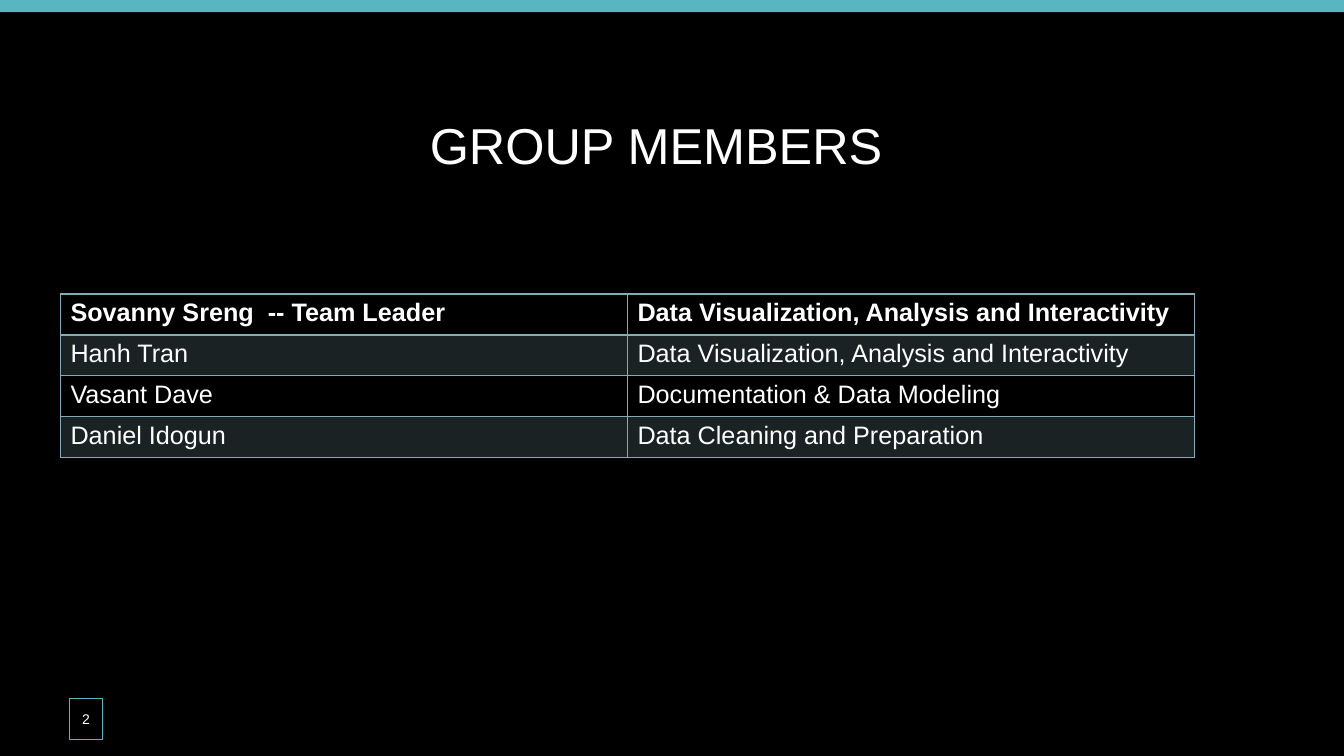
"""Build the group members slide."""
from lxml.etree import SubElement
from pptx import Presentation
from pptx.dml.color import RGBColor
from pptx.enum.shapes import MSO_SHAPE
from pptx.enum.text import MSO_ANCHOR, PP_ALIGN
from pptx.oxml.ns import qn
from pptx.util import Pt

TITLE = "GROUP MEMBERS"
MEMBERS = [
    ("Sovanny Sreng  -- Team Leader", "Data Visualization, Analysis and Interactivity"),
    ("Hanh Tran", "Data Visualization, Analysis and Interactivity"),
    ("Vasant Dave", "Documentation & Data Modeling"),
    ("Daniel Idogun", "Data Cleaning and Preparation"),
]
PAGE_NUMBER = "2"

THEME = {
    "font": "Arial",
    "background": "000000",
    "text": "FFFFFF",
    "accent": "58B6C0",
    "border": "84ACB6",
    "band": "1A2224",
    "title_size": 36,
    "table_size": 18,
    "number_size": 10,
}
SLIDE_WIDTH, SLIDE_HEIGHT = 960, 540
LEFT = 43.2
TABLE_TOP, COLUMN_WIDTH, ROW_HEIGHT = 210, 405, 29.25


def color(name):
    return RGBColor.from_string(THEME[name])


def write(frame, text, size, align=PP_ALIGN.LEFT, bold=False):
    paragraph = frame.paragraphs[0]
    paragraph.text = text
    paragraph.alignment = align
    font = paragraph.font
    font.name, font.size, font.bold = THEME["font"], Pt(THEME[size]), bold
    font.color.rgb = color("text")


def add_box(slide, left, top, width, height, fill):
    box = slide.shapes.add_shape(
        MSO_SHAPE.RECTANGLE, Pt(left), Pt(top), Pt(width), Pt(height))
    box.shadow.inherit = False
    box.fill.solid()
    box.fill.fore_color.rgb = color(fill)
    box.line.fill.background()
    return box


def add_borders(cell, widths):
    properties = cell._tc.get_or_add_tcPr()
    for side, width in widths.items():
        line = SubElement(properties, qn(f"a:ln{side}"), w=str(Pt(width)))
        SubElement(SubElement(line, qn("a:solidFill")), qn("a:srgbClr"), val=THEME["border"])


def add_members(slide):
    rows, columns = len(MEMBERS), len(MEMBERS[0])
    table = slide.shapes.add_table(
        rows, columns, Pt(LEFT), Pt(TABLE_TOP),
        Pt(columns * COLUMN_WIDTH), Pt(rows * ROW_HEIGHT)).table
    for column in table.columns:
        column.width = Pt(COLUMN_WIDTH)
    for r, member in enumerate(MEMBERS):
        table.rows[r].height = Pt(ROW_HEIGHT)
        for c, text in enumerate(member):
            cell = table.cell(r, c)
            add_borders(cell, {"L": 1, "R": 1, "T": 2 if r == 1 else 1, "B": 2 if r == 0 else 1})
            cell.fill.solid()
            cell.fill.fore_color.rgb = color("band" if r % 2 else "background")
            write(cell.text_frame, text, "table_size", bold=r == 0)


def main():
    deck = Presentation()
    deck.slide_width, deck.slide_height = Pt(SLIDE_WIDTH), Pt(SLIDE_HEIGHT)
    slide = deck.slides.add_slide(deck.slide_layouts[6])
    slide.background.fill.solid()
    slide.background.fill.fore_color.rgb = color("background")

    add_box(slide, 0, 0, SLIDE_WIDTH, 8.64, "accent")

    title = slide.shapes.add_textbox(Pt(LEFT), Pt(77.76), Pt(851), Pt(50.4)).text_frame
    title.word_wrap = True
    title.vertical_anchor = MSO_ANCHOR.MIDDLE
    write(title, TITLE, "title_size", PP_ALIGN.CENTER)

    add_members(slide)

    number = add_box(slide, 49.5, 499, 23.75, 29, "background")
    number.line.color.rgb = color("accent")
    number.line.width = Pt(0.75)
    number.text_frame.margin_left = number.text_frame.margin_right = 0
    number.text_frame.vertical_anchor = MSO_ANCHOR.MIDDLE
    write(number.text_frame, PAGE_NUMBER, "number_size", PP_ALIGN.CENTER)

    deck.save("out.pptx")


if __name__ == "__main__":
    main()
